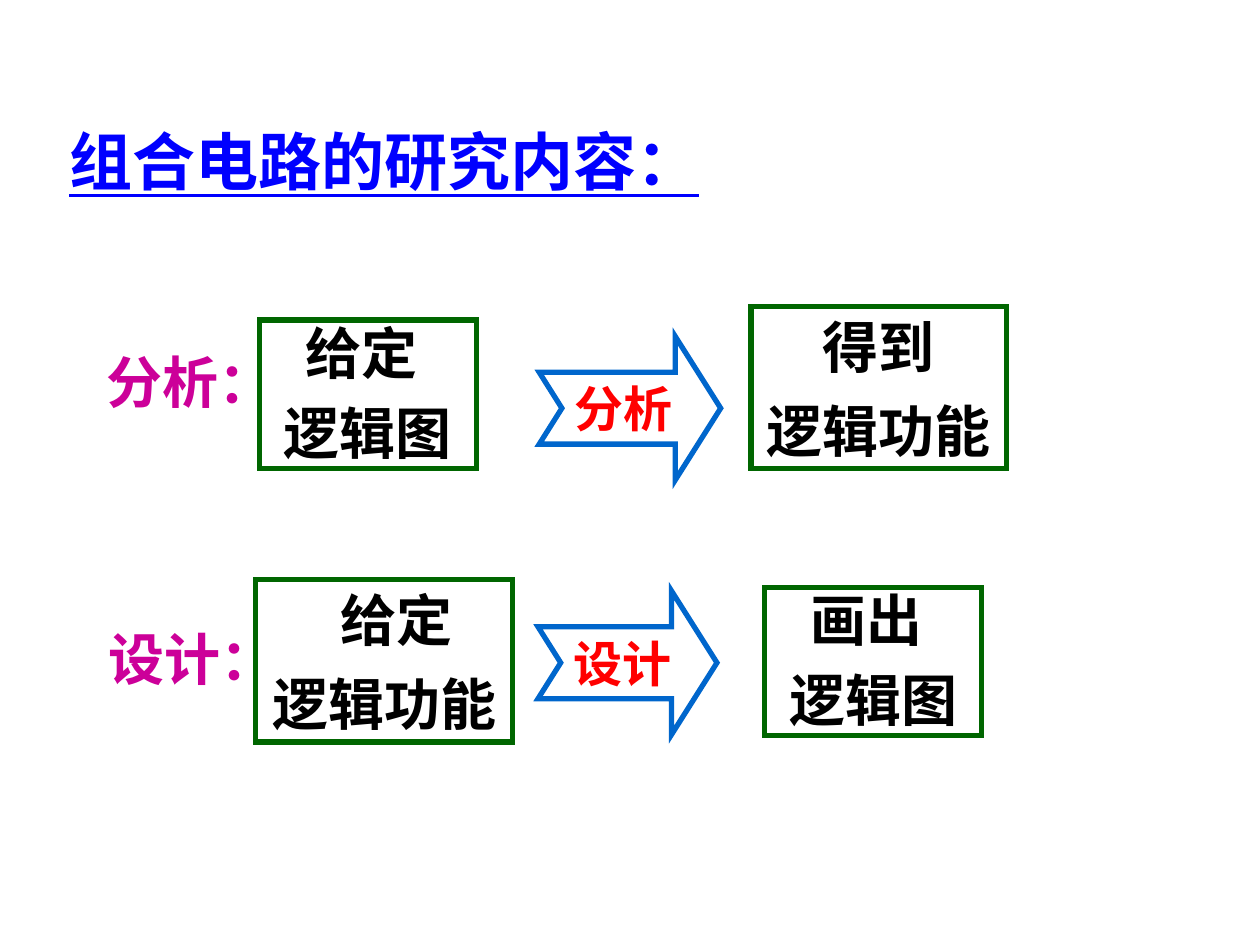
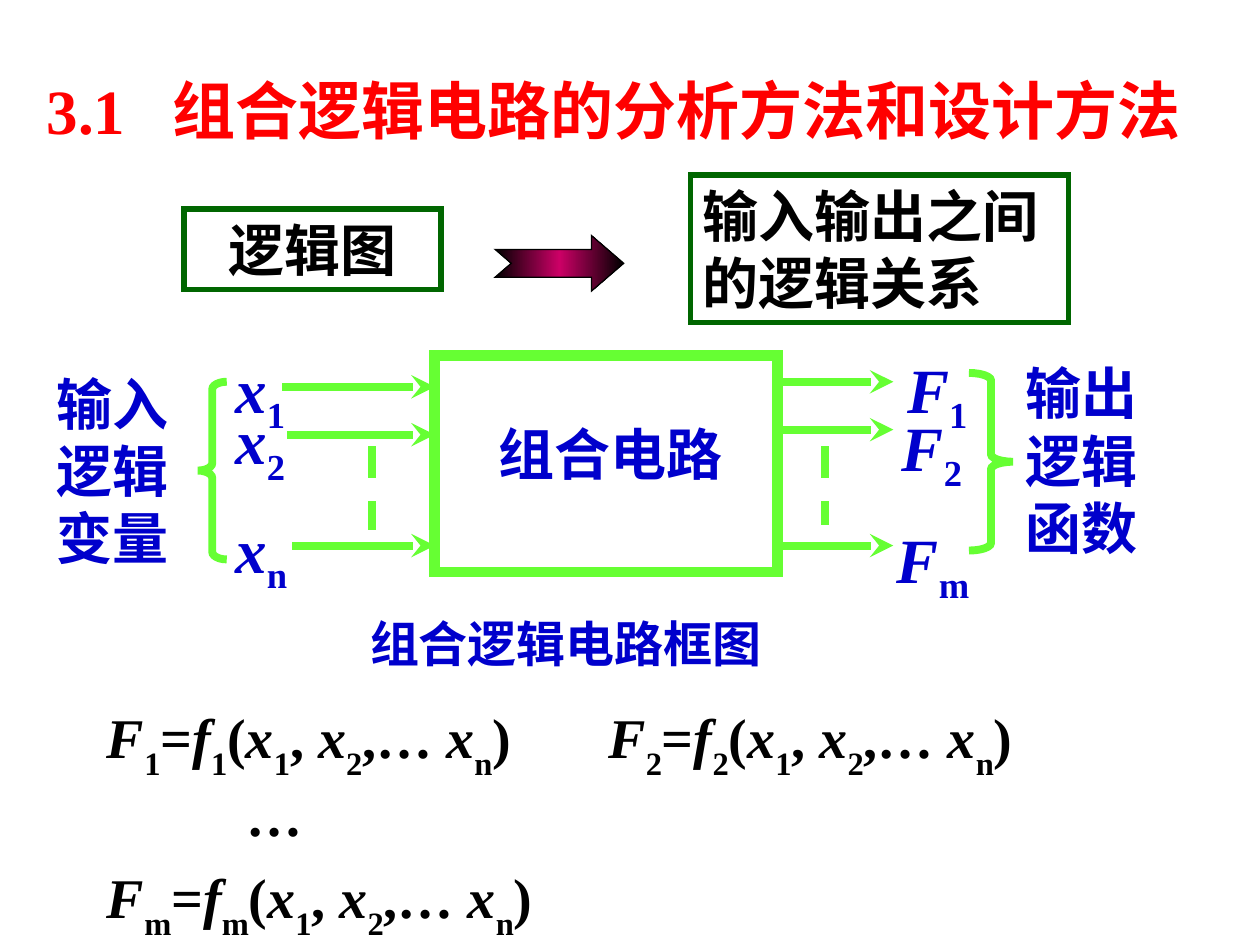
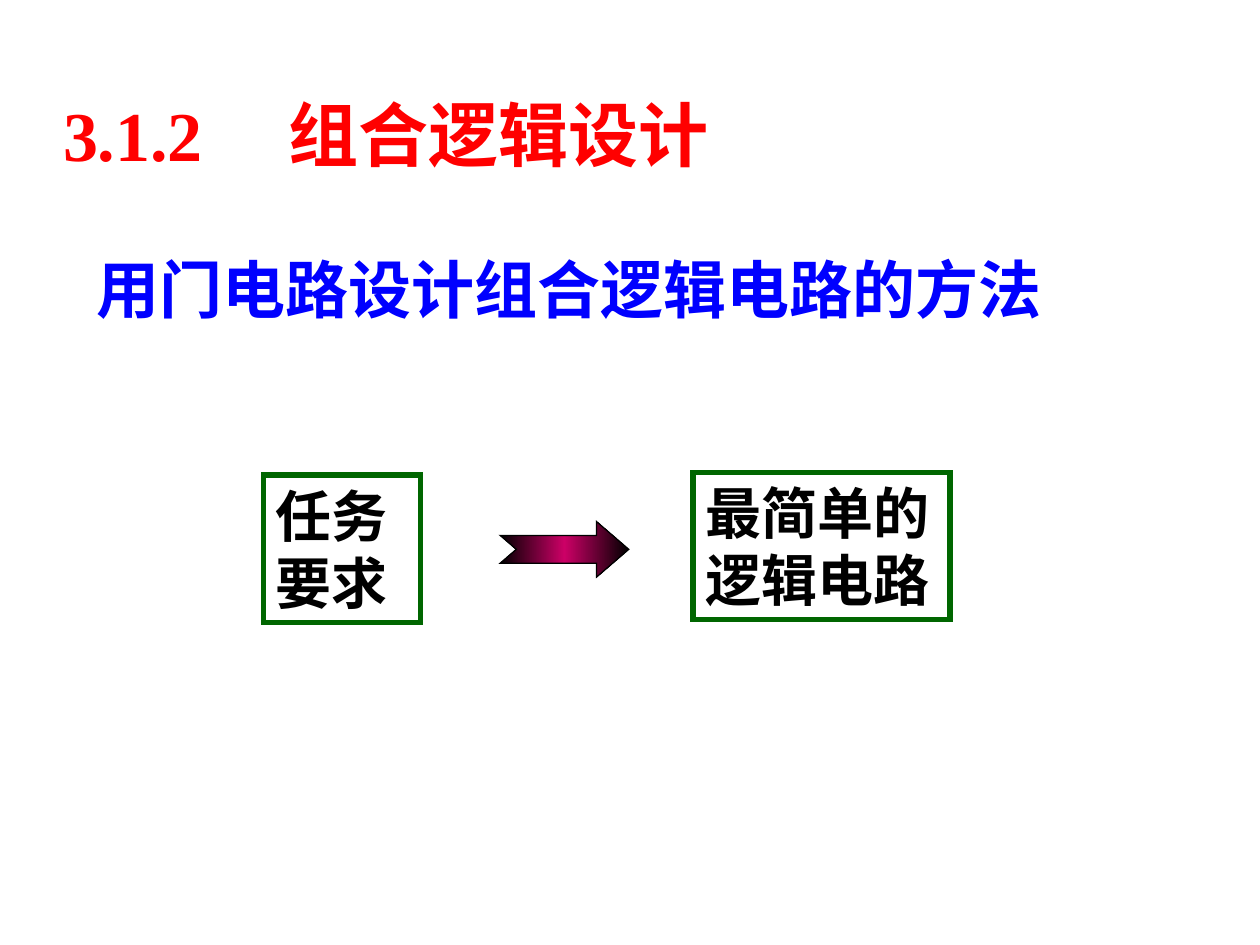
from copy import deepcopy
from itertools import groupby

from lxml import etree
from pptx import Presentation
from pptx import util as u
from pptx.dml.color import RGBColor
from pptx.enum import dml, shapes, text
from pptx.oxml.ns import qn

FONT = "Times New Roman"
BLACK, RED, BLUE, NAVY = "000000", "FF0000", "0000FF", "0000CC"
GREEN, LIME, SKY = "006600", "66FF33", "0066CC"
MAGENTA, CRIMSON = "CC0099", "CC0066"
CENTER = text.PP_ALIGN.CENTER
LEFT = text.PP_ALIGN.LEFT


def rgb(value):
    return RGBColor.from_string(value)


def inches(*values):
    return [u.Inches(value) for value in values]


def style(paragraph, size, color, align=LEFT, tab=None):
    paragraph.alignment = align
    if tab:
        stops = etree.SubElement(paragraph._p.get_or_add_pPr(), qn("a:tabLst"))
        etree.SubElement(stops, qn("a:tab"), pos=str(u.Inches(tab)), algn="l")
    font = paragraph.font
    font.name, font.size, font.bold = FONT, u.Pt(size), True
    font.color.rgb = rgb(color)


def write(frame, lines, size, color, align=LEFT, tab=None):
    frame.word_wrap = True
    frame.auto_size = text.MSO_AUTO_SIZE.NONE
    frame.vertical_anchor = text.MSO_ANCHOR.TOP
    frame.text = lines
    for paragraph in frame.paragraphs:
        style(paragraph, size, color, align, tab)


def add_title(slide, place, words, size, color, tab=None):
    title = slide.shapes.title
    title.left, title.top, title.width, title.height = inches(*place)
    write(title.text_frame, words, size, color, tab=tab)
    return title.text_frame


def add_label(slide, place, words, size, color, align=LEFT):
    label = slide.shapes.add_textbox(*inches(*place))
    write(label.text_frame, words, size, color, align)


def add_outline(slide, preset, place, color, width, adjustments=()):
    outline = slide.shapes.add_shape(preset, *inches(*place))
    outline.shadow.inherit = False
    outline.fill.background()
    outline.line.color.rgb = rgb(color)
    outline.line.width = u.Pt(width)
    etree.SubElement(outline._element.spPr.find(qn("a:ln")), qn("a:miter"), lim="800000")
    for index, value in enumerate(adjustments):
        outline.adjustments[index] = value
    return outline


def add_box(slide, place, words, align=LEFT, spacings=()):
    box = add_outline(slide, shapes.MSO_SHAPE.RECTANGLE, place, GREEN, 3)
    write(box.text_frame, words, 32, BLACK, align)
    paragraphs = box.text_frame.paragraphs
    for paragraph, spacing in zip(paragraphs, spacings):
        paragraph.line_spacing = spacing
    for paragraph in paragraphs[1:]:
        paragraph.space_before = u.Pt(20)
    return box


def add_step_arrow(slide, place, words):
    arrow = add_outline(slide, shapes.MSO_SHAPE.NOTCHED_RIGHT_ARROW, place, SKY, 3, (0.5, 0.316))
    write(arrow.text_frame, words, 28, RED)


def add_gradient_arrow(slide, left, top):
    arrow = add_outline(slide, shapes.MSO_SHAPE.NOTCHED_RIGHT_ARROW,
                        (left, top, 1.02, 0.44), BLACK, 0.75, (0.5, 0.58))
    arrow.fill.gradient()
    arrow.fill.gradient_angle = 0
    stop_list = arrow._element.spPr.find(".//" + qn("a:gsLst"))
    stop_list.append(deepcopy(stop_list[0]))
    for index, (stop, color) in enumerate(zip(arrow.fill.gradient_stops, (BLACK, CRIMSON, BLACK))):
        stop.color.rgb = rgb(color)
        stop.position = index / 2


def add_wire(slide, start, end, dashed=False):
    wire = slide.shapes.add_connector(shapes.MSO_CONNECTOR.STRAIGHT, *inches(*start, *end))
    wire.line.color.rgb = rgb(LIME)
    wire.line.width = u.Pt(4.5)
    properties = wire._element.spPr
    if dashed:
        wire.line.dash_style = dml.MSO_LINE.DASH
    else:
        etree.SubElement(properties.find(qn("a:ln")), qn("a:tailEnd"), type="stealth")
    etree.SubElement(properties, qn("a:effectLst"))


def add_math(paragraph, formula, drop):
    marked = [(char, before == "_") for before, char in zip(" " + formula, formula) if char != "_"]
    for (italic, lowered), chars in groupby(marked, lambda m: (m[0].isalpha() and not m[1], m[1])):
        run = paragraph.add_run()
        run.text = "".join(char for char, _ in chars)
        run.font.italic = italic
        if lowered:
            run._r.get_or_add_rPr().set("baseline", str(-drop * 1000))


def add_variable(slide, left, top, name):
    variable = slide.shapes.add_textbox(*inches(left, top, 1.15, 1))
    style(variable.text_frame.paragraphs[0], 36, NAVY)
    variable.text_frame.word_wrap = True
    add_math(variable.text_frame.paragraphs[0], name, 25)


def add_equations(slide, place, rows):
    frame = slide.shapes.add_textbox(*inches(*place)).text_frame
    frame.word_wrap = True
    for index, (formula, indent) in enumerate(rows):
        paragraph = frame.add_paragraph() if index else frame.paragraphs[0]
        paragraph.line_spacing = 0.9
        if index:
            paragraph.space_before = u.Pt(8)
        if indent:
            paragraph._p.get_or_add_pPr().set("marL", str(u.Inches(indent)))
        style(paragraph, 32, BLACK, tab=3.98 if "\t" in formula else None)
        add_math(paragraph, formula, 30)


def build_topics(slide):
    heading = add_title(slide, (0.45, 0.79, 8.5, 0.97), "组合电路的研究内容：", 36, BLUE)
    heading.vertical_anchor = text.MSO_ANCHOR.MIDDLE
    heading.paragraphs[0].font.underline = True
    diagram, function = (0.9, 0.6), (1.0, 0.7)

    add_label(slide, (0.75, 2.71, 1.77, 0.64), "分析：", 32, MAGENTA)
    add_box(slide, (2.06, 2.54, 1.72, 1.18), "给定 \n逻辑图", CENTER, diagram)
    add_step_arrow(slide, (4.28, 2.67, 1.44, 1.14), "分析")
    add_box(slide, (5.96, 2.43, 2.03, 1.29), "得到\n逻辑功能", CENTER, function)

    add_label(slide, (0.76, 4.91, 1.86, 0.64), "设计：", 32, MAGENTA)
    given = add_box(slide, (2.03, 4.6, 2.04, 1.29), "给定\n逻辑功能", CENTER, function)
    given.text_frame.paragraphs[0]._p.get_or_add_pPr().set("marL", str(u.Inches(0.2)))
    add_step_arrow(slide, (4.27, 4.69, 1.42, 1.14), "设计")
    add_box(slide, (6.07, 4.66, 1.72, 1.18), "画出 \n逻辑图", CENTER, diagram)


def build_block_diagram(slide):
    add_title(slide, (0.27, 0.52, 9.53, 0.7), "3.1\t组合逻辑电路的分析方法和设计方法", 36, RED, tab=1)
    add_box(slide, (1.46, 1.66, 2.04, 0.64), "逻辑图", CENTER)
    add_box(slide, (5.48, 1.39, 3, 1.17), "输入输出之间的逻辑关系")
    add_gradient_arrow(slide, 3.93, 1.87)

    circuit_left, circuit_right = 3.45, 6.17
    add_outline(slide, shapes.MSO_SHAPE.RECTANGLE,
                (circuit_left, 2.82, circuit_right - circuit_left, 1.72), LIME, 6)
    add_label(slide, (3.58, 3.28, 2.53, 0.84), "组合电路", 32, NAVY, CENTER)
    for start, level in ((2.24, 3.07), (2.28, 3.45), (2.32, 4.33)):
        add_wire(slide, (start, level), (circuit_left, level))
    for level in (3.03, 3.41, 4.33):
        add_wire(slide, (circuit_right, level), (7.09, level))
    add_wire(slide, (2.95, 3.54), (2.95, 4.21), dashed=True)
    add_wire(slide, (6.55, 3.54), (6.55, 4.17), dashed=True)

    for top, name in ((2.73, "x_1"), (3.14, "x_2"), (4, "x_n")):
        add_variable(slide, 1.77, top, name)
    for left, top, name in ((7.1, 2.73, "F_1"), (7.06, 3.19, "F_2"), (7.02, 4.08, "F_m")):
        add_variable(slide, left, top, name)

    add_label(slide, (0.35, 2.88, 1.25, 1.56), "输入逻辑变量", 32, NAVY)
    add_outline(slide, shapes.MSO_SHAPE.LEFT_BRACE, (1.57, 3.03, 0.23, 1.41), LIME, 4.5, (0.26, 0.5))
    add_label(slide, (8.04, 2.8, 1.23, 1.84), "输出逻辑函数", 32, NAVY)
    add_outline(slide, shapes.MSO_SHAPE.RIGHT_BRACE, (7.69, 2.96, 0.35, 1.41), LIME, 4.5, (0.17, 0.5))
    add_label(slide, (1.6, 4.82, 5.78, 0.66), "组合逻辑电路框图", 28, NAVY, CENTER)

    first, second, last = (f"F_{i}=f_{i}(x_1, x_2,… x_n)" for i in "12m")
    add_equations(slide, (0.75, 5.53, 8.19, 1.97),
                  ((f"{first}\t{second}", 0), ("…", 1.11), (last, 0)))


def build_design(slide):
    add_title(slide, (0.4, 0.68, 8.96, 0.77), "3.1.2\t组合逻辑设计", 40, RED, tab=1.79)
    add_label(slide, (0.67, 1.94, 9.2, 0.7), "用门电路设计组合逻辑电路的方法", 36, BLUE)
    add_box(slide, (2.09, 3.77, 1.25, 1.17), "任务要求")
    add_gradient_arrow(slide, 3.97, 4.14)
    add_box(slide, (5.5, 3.75, 2.04, 1.17), "最简单的逻辑电路")


def main():
    deck = Presentation()
    deck.slide_width, deck.slide_height = inches(10, 7.5)
    title_only = deck.slide_layouts[5]
    for build in (build_topics, build_block_diagram, build_design):
        build(deck.slides.add_slide(title_only))
    deck.save("out.pptx")


if __name__ == "__main__":
    main()
